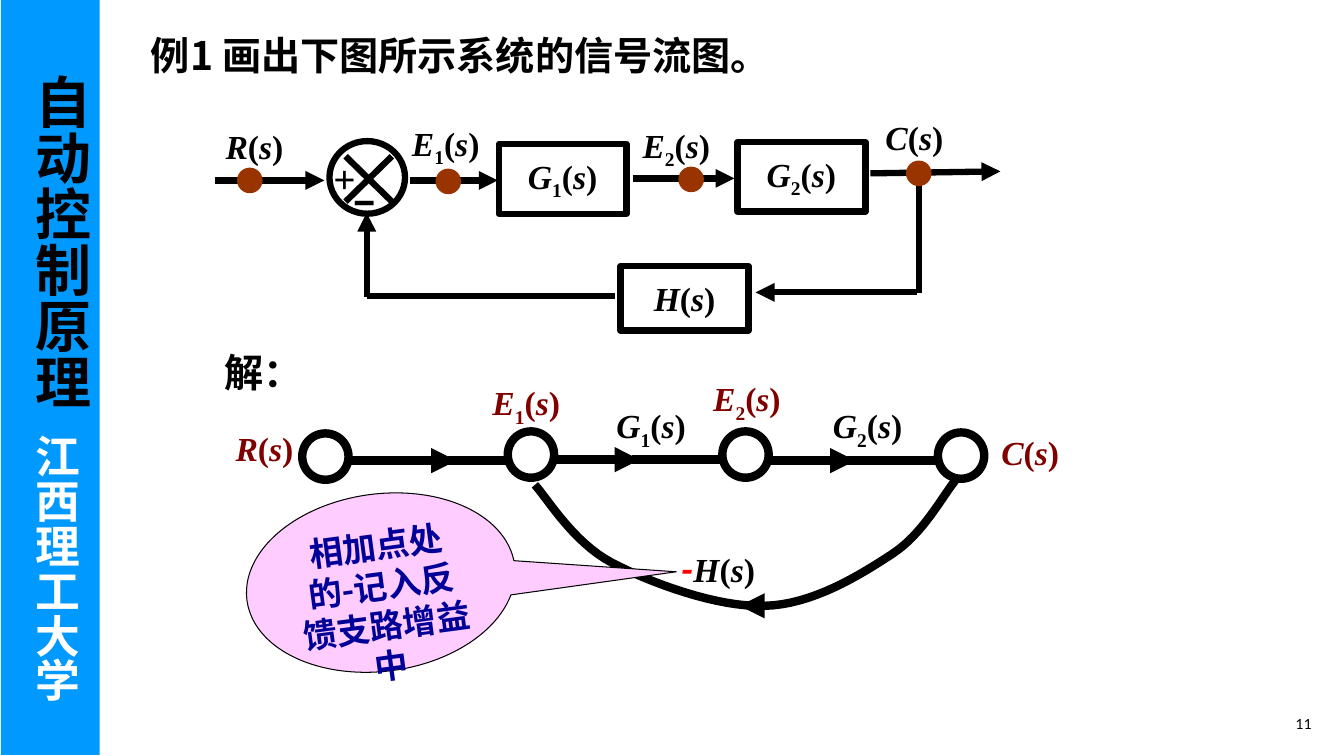
from dataclasses import dataclass

from lxml.etree import SubElement
from pptx import Presentation
from pptx.dml.color import RGBColor
from pptx.enum.shapes import MSO_CONNECTOR, MSO_SHAPE
from pptx.enum.text import MSO_ANCHOR, PP_ALIGN
from pptx.oxml.ns import qn
from pptx.shapes.autoshape import Shape
from pptx.slide import Slide
from pptx.util import Inches, Pt

BLACK = RGBColor(0x00, 0x00, 0x00)
WHITE = RGBColor(0xFF, 0xFF, 0xFF)
RED = RGBColor(0xFF, 0x00, 0x00)
MAROON = RGBColor(0x80, 0x00, 0x00)
BROWN = RGBColor(0x99, 0x33, 0x00)
NAVY = RGBColor(0x00, 0x00, 0x99)
PINK = RGBColor(0xFF, 0xCC, 0xFF)
BLUE = RGBColor(0x00, 0x99, 0xFF)
CJK = "Noto Sans CJK SC"
SERIF = "Times New Roman"
DIAGRAM_WEIGHT = 4.5
GRAPH_WEIGHT = 6

Point = tuple[float, float]
Box = tuple[float, float, float, float]


@dataclass
class Run:
    text: str
    size: float = 24
    font: str = SERIF
    color: RGBColor = BLACK
    bold: bool = True
    italic: bool = False
    baseline: int = 0
    tracking: int = 0


@dataclass
class Label:
    box: Box
    runs: list[Run]
    wrap: bool = True
    line_spacing: float | None = None
    align: PP_ALIGN = PP_ALIGN.LEFT
    anchor: MSO_ANCHOR = MSO_ANCHOR.TOP
    margins: Point = (0.1, 0.05)


@dataclass
class Wire:
    start: Point
    end: Point
    weight: float = DIAGRAM_WEIGHT
    arrow: bool = True


def signal(name: str, color: RGBColor = BLACK) -> list[Run]:
    symbol, subscript = name[0], name[1:]
    runs = [Run(symbol, color=color, italic=True)]
    if subscript:
        runs.append(Run(subscript, color=color, baseline=-25000))
    return runs + [Run("(", color=color), Run("s", color=color, italic=True), Run(")", color=color)]


def write(shape: Shape, label: Label) -> None:
    frame = shape.text_frame
    frame.word_wrap = label.wrap
    frame.vertical_anchor = label.anchor
    frame.margin_left = frame.margin_right = Inches(label.margins[0])
    frame.margin_top = frame.margin_bottom = Inches(label.margins[1])
    paragraph = frame.paragraphs[0]
    paragraph.alignment = label.align
    if label.line_spacing:
        paragraph.line_spacing = label.line_spacing
    for part in label.runs:
        run = paragraph.add_run()
        run.text = part.text
        run.font.size = Pt(part.size)
        run.font.bold = part.bold
        run.font.italic = part.italic
        run.font.color.rgb = part.color
        run.font.name = part.font
        properties = run._r.get_or_add_rPr()
        SubElement(properties, qn("a:ea")).set("typeface", CJK)
        if part.baseline:
            properties.set("baseline", str(part.baseline))
        if part.tracking:
            properties.set("spc", str(part.tracking))


def add_label(slide: Slide, label: Label) -> None:
    write(slide.shapes.add_textbox(*map(Inches, label.box)), label)


def add_outline(slide: Slide, kind: MSO_SHAPE, box: Box, weight: float,
                fill: RGBColor | None = None, line: RGBColor = BLACK) -> Shape:
    shape = slide.shapes.add_shape(kind, *map(Inches, box))
    shape.shadow.inherit = False
    if fill is None:
        shape.fill.background()
    else:
        shape.fill.solid()
        shape.fill.fore_color.rgb = fill
    if weight:
        shape.line.color.rgb = line
        shape.line.width = Pt(weight)
    else:
        shape.line.fill.background()
    return shape


def add_wire(slide: Slide, wire: Wire) -> None:
    connector = slide.shapes.add_connector(
        MSO_CONNECTOR.STRAIGHT, *map(Inches, wire.start + wire.end))
    connector.line.color.rgb = BLACK
    connector.line.width = Pt(wire.weight)
    if wire.arrow:
        SubElement(connector.line._get_or_add_ln(), qn("a:tailEnd")).set("type", "triangle")
    SubElement(connector._element.spPr, qn("a:effectLst"))


def bezier(points: list[Point], steps: int = 16) -> list[Point]:
    curve = [points[0]]
    for first in range(0, len(points) - 1, 3):
        for step in range(1, steps + 1):
            t = step / steps
            weights = ((1 - t) ** 3, 3 * t * (1 - t) ** 2, 3 * t * t * (1 - t), t ** 3)
            segment = points[first:first + 4]
            curve.append((sum(w * x for w, (x, _) in zip(weights, segment)),
                          sum(w * y for w, (_, y) in zip(weights, segment))))
    return curve


def add_feedback_curve(slide: Slide) -> None:
    controls = [(5.31, 4.81), (5.43, 4.94), (5.69, 5.38), (6.07, 5.58), (6.45, 5.78),
                (7.13, 6.03), (7.59, 6.01), (8.06, 6), (8.53, 5.71), (8.85, 5.5),
                (9.16, 5.3), (9.35, 4.93), (9.48, 4.77)]
    vertices = [(Inches(x), Inches(y)) for x, y in bezier(controls)]
    builder = slide.shapes.build_freeform(*vertices[0])
    builder.add_line_segments(vertices[1:], close=False)
    curve = builder.convert_to_shape()
    curve.shadow.inherit = False
    curve.fill.background()
    curve.line.color.rgb = BLACK
    curve.line.width = Pt(GRAPH_WEIGHT)


def add_block_diagram(slide: Slide) -> None:
    for wire in (
        Wire((9.12, 1.76), (9.12, 2.91), arrow=False), Wire((3.64, 2.95), (3.64, 2.11)),
        Wire((4.07, 1.79), (4.94, 1.79)), Wire((6.28, 1.77), (7.29, 1.77)),
        Wire((2.13, 1.79), (3.22, 1.79)), Wire((8.64, 1.72), (9.93, 1.7)),
        Wire((9.1, 2.9), (7.5, 2.9)), Wire((6.1, 2.94), (3.64, 2.94), arrow=False),
        Wire((3.89, 1.55), (3.43, 2), arrow=False), Wire((3.43, 1.55), (3.89, 2), arrow=False),
    ):
        add_wire(slide, wire)
    for name, box in (("G1", (4.95, 1.43, 1.27, 0.69)), ("G2", (7.32, 1.41, 1.27, 0.69)),
                      ("H", (6.16, 2.64, 1.27, 0.64))):
        block = add_outline(slide, MSO_SHAPE.RECTANGLE, box, DIAGRAM_WEIGHT)
        write(block, Label(box, signal(name), align=PP_ALIGN.CENTER,
                           anchor=MSO_ANCHOR.MIDDLE, margins=(0.12, 0.12)))
    add_outline(slide, MSO_SHAPE.OVAL, (3.27, 1.4, 0.75, 0.72), DIAGRAM_WEIGHT)
    for label in (
        Label((2.14, 1.2, 1.05, 0.5), signal("R")), Label((8.69, 1.11, 0.92, 0.5), signal("C")),
        Label((3.99, 1.17, 0.87, 0.56), signal("E1"), wrap=False),
        Label((6.28, 1.19, 0.87, 0.56), signal("E2"), wrap=False),
        Label((3.27, 1.59, 0.6, 0.7), [Run("﹣", 36)]),
        Label((3.31, 1.53, 0.23, 0.47), [Run("+", 28)], margins=(0, 0)),
    ):
        add_label(slide, label)
    for left, top in ((2.36, 1.67), (4.33, 1.68), (6.74, 1.66), (9, 1.6)):
        add_outline(slide, MSO_SHAPE.OVAL, (left, top, 0.24, 0.24), 1, BROWN, BROWN)


def add_flow_graph(slide: Slide) -> None:
    for start, middle, end, y in ((3.44, 4.53, 5.07, 4.57), (5.51, 6.35, 7.17, 4.56),
                                  (7.65, 8.49, 9.31, 4.57)):
        add_wire(slide, Wire((start, y), (middle, y), GRAPH_WEIGHT))
        add_wire(slide, Wire((middle - 0.08, y), (end, y), GRAPH_WEIGHT, arrow=False))
    for left, top in ((3, 4.3), (5.04, 4.28), (7.17, 4.28), (9.31, 4.29)):
        add_outline(slide, MSO_SHAPE.OVAL, (left, top, 0.46, 0.46), GRAPH_WEIGHT)
    add_wire(slide, Wire((7.59, 6.01), (7.34, 6.01), GRAPH_WEIGHT))
    add_feedback_curve(slide)
    minus = Run("-", font="Roboto", color=RED, italic=True)
    for box, runs in (
        ((2.24, 4.18, 0.84, 0.52), signal("R", MAROON)),
        ((4.79, 3.72, 1.03, 0.58), signal("E1", MAROON)),
        ((6.98, 3.68, 1.03, 0.58), signal("E2", MAROON)),
        ((9.84, 4.22, 0.84, 0.52), signal("C", MAROON)),
        ((6.02, 3.95, 1.03, 0.58), signal("G1")), ((8.17, 3.95, 1.03, 0.58), signal("G2")),
        ((6.66, 5.38, 1.03, 0.52), [minus] + signal("H")),
    ):
        add_label(slide, Label(box, runs, line_spacing=1.05))


def add_callout(slide: Slide) -> None:
    box = (2.44, 4.9, 2.68, 1.76)
    callout = add_outline(slide, MSO_SHAPE.OVAL_CALLOUT, box, 0.75, PINK)
    callout.rotation = 352.4
    callout.adjustments[0], callout.adjustments[1] = 1.09, 0.16
    text = Run("相加点处的-记入反馈支路增益中", font=CJK, color=NAVY)
    write(callout, Label(box, [text], align=PP_ALIGN.CENTER))


def add_sidebar(slide: Slide) -> None:
    box = (0.01, -0.01, 0.98, 7.5)
    sidebar = add_outline(slide, MSO_SHAPE.RECTANGLE, box, 0, BLUE)
    write(sidebar, Label(box, [Run("自动控制原理", 40, CJK), Run(" ", 36, CJK, tracking=900),
                               Run("江西理工大学", 32, "Arial", WHITE)], margins=(0.05, 0.16)))
    sidebar.text_frame.margin_top = Inches(0.75)
    sidebar.text_frame._txBody.bodyPr.set("vert", "eaVert")


def main() -> None:
    presentation = Presentation()
    presentation.slide_width, presentation.slide_height = Inches(13.34), Inches(7.5)
    slide = presentation.slides.add_slide(presentation.slide_layouts[6])
    add_label(slide, Label((1.4, 0.26, 6.68, 0.57),
                           [Run("例1 画出下图所示系统的信号流图。", 28, CJK)], wrap=False))
    add_block_diagram(slide)
    add_flow_graph(slide)
    add_label(slide, Label((2.13, 3.41, 1.54, 0.57), [Run("解：", 28, "Lato")]))
    add_callout(slide)
    add_sidebar(slide)
    add_label(slide, Label((10.12, 6.98, 3, 0.4), [Run("11", 10, "Lato", bold=False)],
                           align=PP_ALIGN.RIGHT, anchor=MSO_ANCHOR.MIDDLE))
    presentation.save("out.pptx")


if __name__ == "__main__":
    main()
